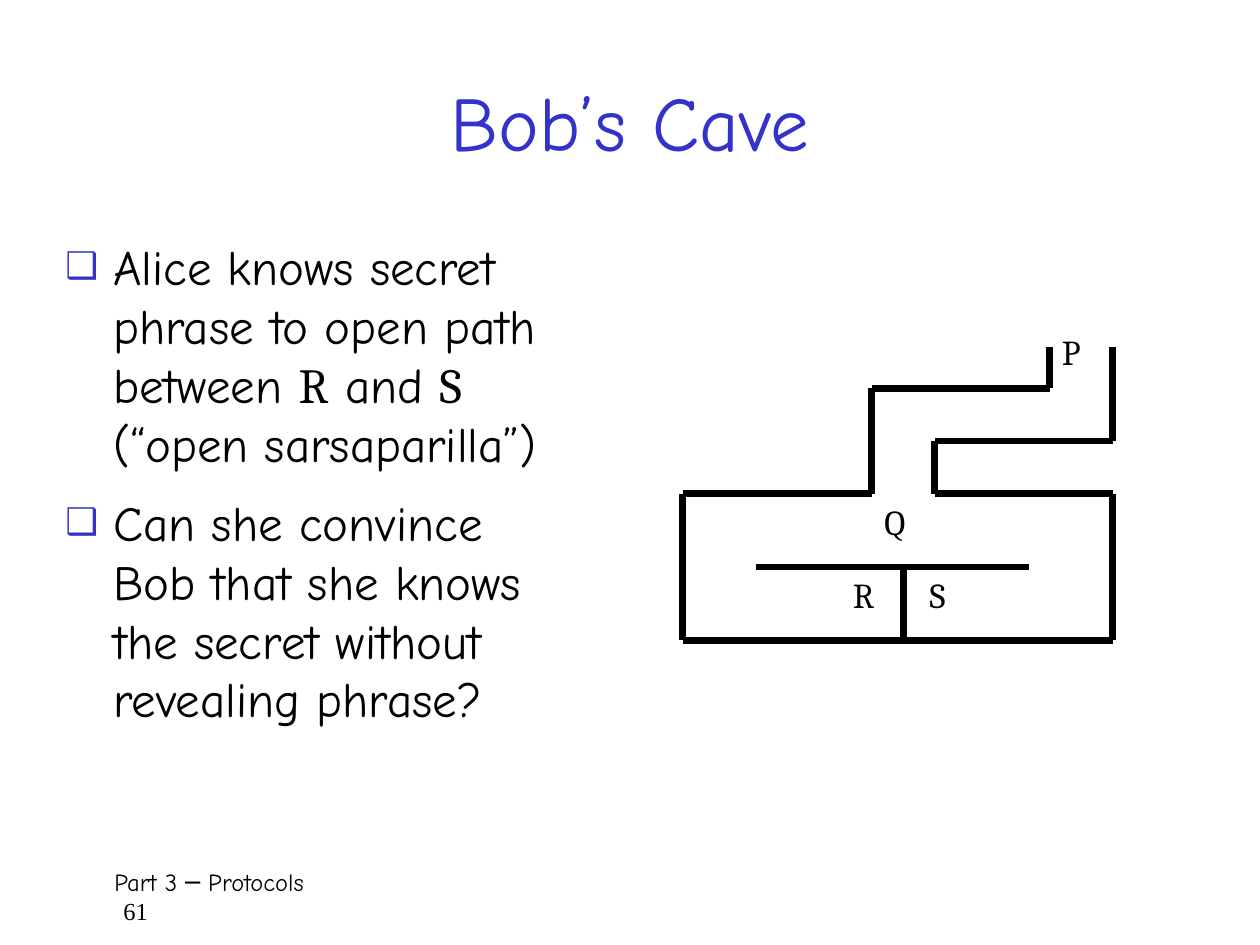
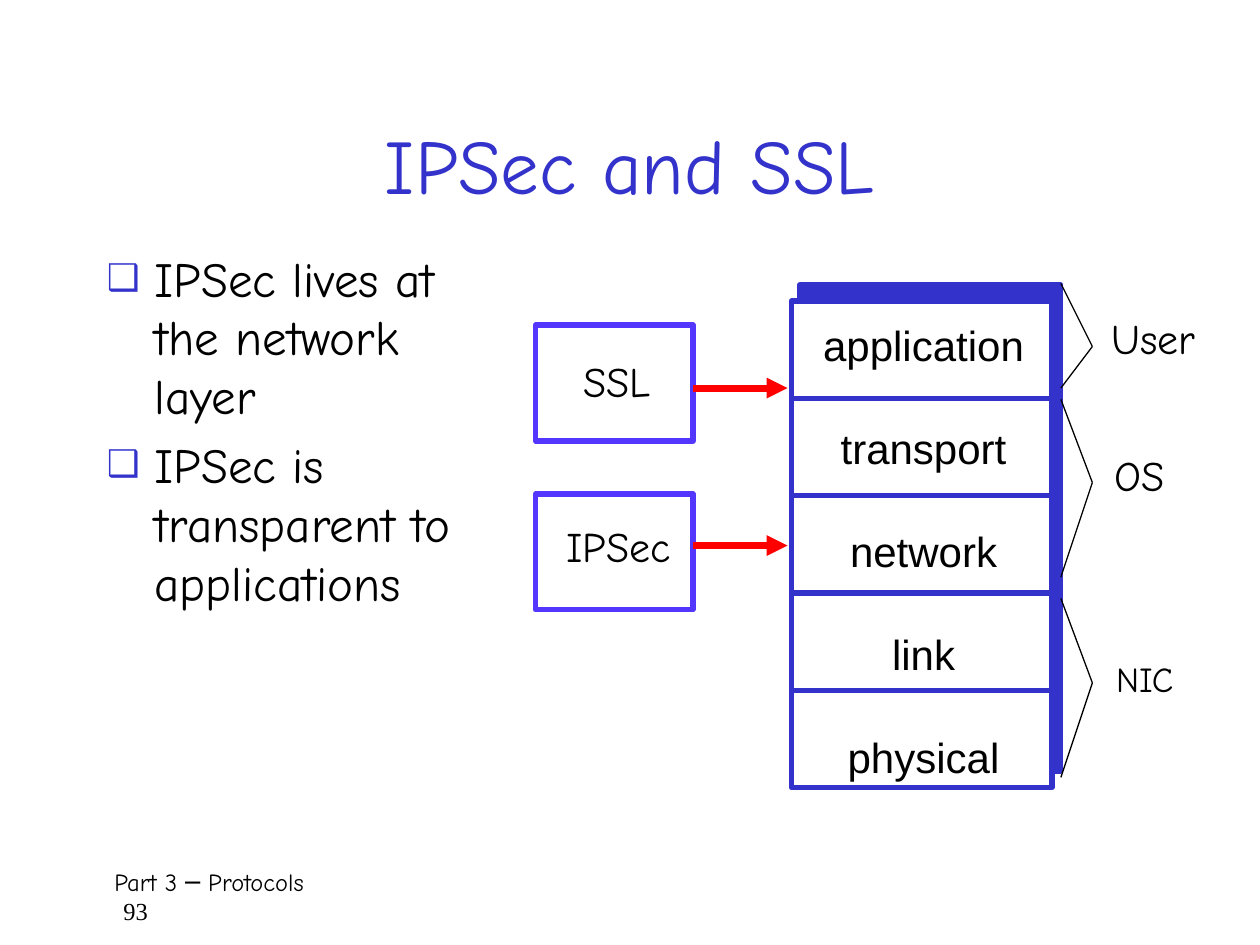
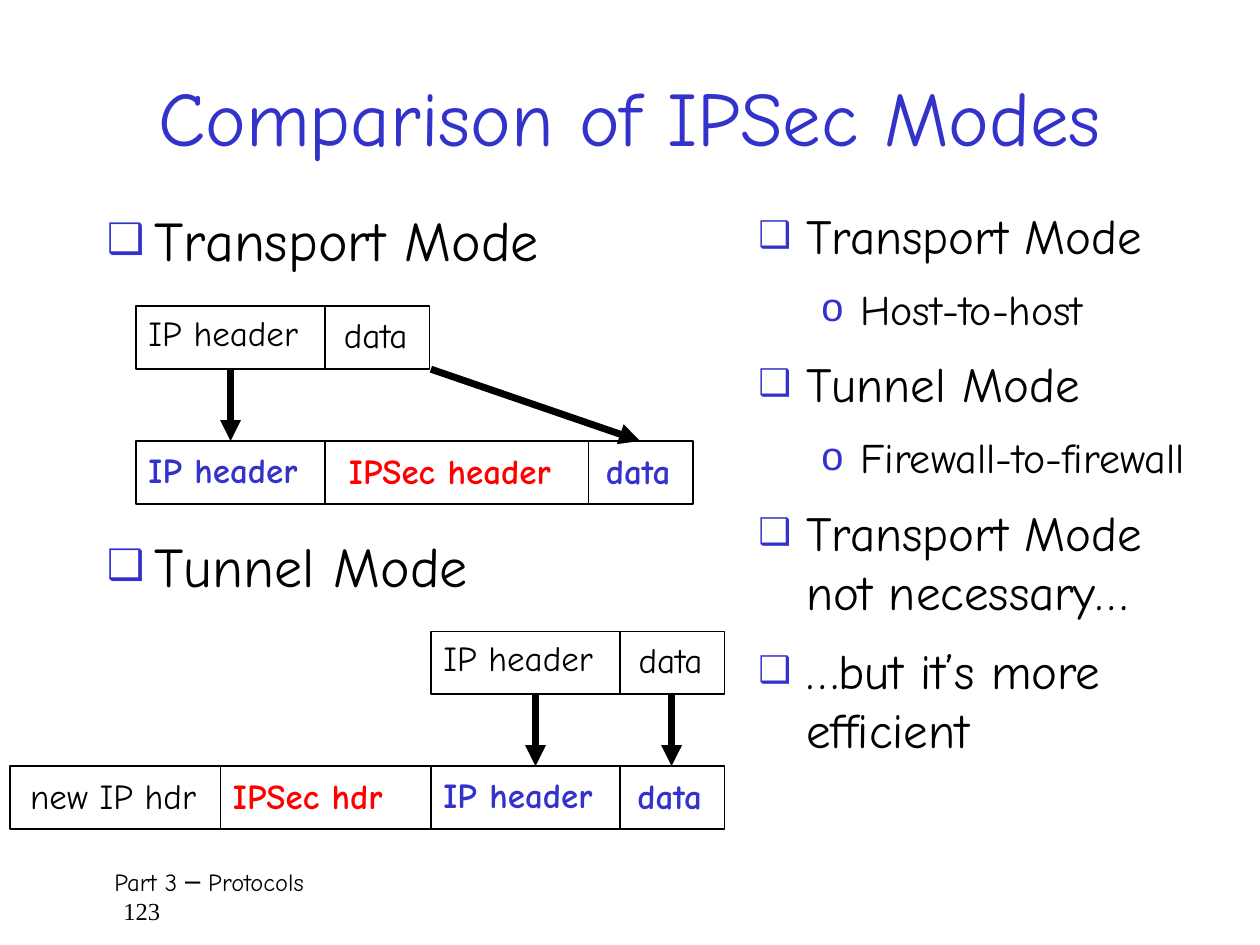
from collections import namedtuple

from lxml import etree
from pptx import Presentation
from pptx.dml.color import RGBColor
from pptx.enum.shapes import MSO_CONNECTOR as LINE, MSO_SHAPE as SHAPE
from pptx.enum.text import MSO_ANCHOR as ANCHOR, MSO_AUTO_SIZE as FIT, PP_ALIGN as ALIGN
from pptx.oxml.ns import qn
from pptx.util import Inches, Pt

COLORS = {"ink": "000000", "blue": "3333CC", "violet": "5437FF", "red": "FF0000", "paper": "FFFFFF"}
COMIC, SERIF, ROMAN, SANS = "Comic Neue", "Cambria", "Times New Roman", "Arial"

BulletLevel = namedtuple("BulletLevel", "indent hang mark percent")
BULLET_LEVELS = [BulletLevel(0.38, 0.38, "❑", 75), BulletLevel(0.81, 0.31, "o", 95)]

Field = namedtuple("Field", "text cell indent drop width height color bold")
IP_HEADER = Field("IP header", 1.5, 0, -0.01, 1.48, 0.49, "ink", False)
DATA = Field("data", 0.83, 0.05, 0.01, 0.78, 0.49, "ink", False)
KEPT_HEADER = Field("IP header", 1.5, 0, 0.01, 1.54, 0.49, "blue", True)
KEPT_DATA = Field("data", 0.83, 0.04, 0.02, 0.8, 0.49, "blue", True)
IPSEC_HEADER = Field("IPSec header", 2.09, 0.09, 0.02, 2.05, 0.44, "red", True)
IPSEC_HDR = Field("IPSec hdr", 1.67, 0, 0.02, 1.59, 0.44, "red", True)
NEW_HDR = Field("new IP hdr", 1.67, 0.06, 0.02, 1.61, 0.49, "ink", False)
ROW_HEIGHT = 0.5


def rgb(name):
    return RGBColor.from_string(COLORS[name])


def add_run(paragraph, text, size, font=COMIC, color="ink", bold=False):
    run = paragraph.add_run()
    run.text = text
    run.font.size = Pt(size)
    run.font.name = font
    run.font.bold = bold
    run.font.color.rgb = rgb(color)


def add_frame(shapes, left, top, width, height, wrap=True):
    box = shapes.add_textbox(Inches(left), Inches(top), Inches(width), Inches(height))
    box.text_frame.word_wrap = wrap
    if not wrap:
        box.text_frame.auto_size = FIT.SHAPE_TO_FIT_TEXT
    return box.text_frame


def add_label(shapes, left, top, width, height, text, size=20, align=ALIGN.LEFT, **style):
    paragraph = add_frame(shapes, left, top, width, height, wrap=False).paragraphs[0]
    paragraph.alignment = align
    add_run(paragraph, text, size, **style)


def add_line(shapes, start, end, color="ink", weight=0.75, arrow=False):
    line = shapes.add_connector(LINE.STRAIGHT, *map(Inches, (*start, *end)))
    line.line.color.rgb = rgb(color)
    line.line.width = Pt(weight)
    properties = line._element.spPr
    if arrow:
        etree.SubElement(properties.find(qn("a:ln")), qn("a:tailEnd"), type="triangle")
    etree.SubElement(properties, qn("a:effectLst"))


def add_polyline(shapes, points, **style):
    for start, end in zip(points, points[1:]):
        add_line(shapes, start, end, **style)


def add_rect(shapes, left, top, width, height, line, weight, fill=None):
    rect = shapes.add_shape(SHAPE.RECTANGLE, *map(Inches, (left, top, width, height)))
    rect.shadow.inherit = False
    rect.line.color.rgb = rgb(line)
    rect.line.width = Pt(weight)
    if fill:
        rect.fill.solid()
        rect.fill.fore_color.rgb = rgb(fill)
    else:
        rect.fill.background()


def set_bullet(paragraph, level):
    style = BULLET_LEVELS[level]
    properties = paragraph._p.get_or_add_pPr()
    properties.set("marL", str(Inches(style.indent)))
    properties.set("indent", str(-Inches(style.hang)))
    color = etree.SubElement(properties, qn("a:buClr"))
    etree.SubElement(color, qn("a:srgbClr"), val=COLORS["blue"])
    etree.SubElement(properties, qn("a:buSzPct"), val=str(style.percent * 1000))
    etree.SubElement(properties, qn("a:buFont"), typeface=SANS)
    etree.SubElement(properties, qn("a:buChar"), char=style.mark)


def point(text, level=0):
    return level, [(text, COMIC)]


def add_bullets(slide, left, top, width, height, points, sizes=(28, 24), after=0):
    """Each point is a level and its (text, font) runs."""
    frame = add_frame(slide.shapes, left, top, width, height)
    for number, (level, runs) in enumerate(points):
        paragraph = frame.add_paragraph() if number else frame.paragraphs[0]
        paragraph.level = level
        paragraph.space_before = Pt(sizes[level] * 0.2)
        paragraph.space_after = Pt(after)
        set_bullet(paragraph, level)
        for text, font in runs:
            add_run(paragraph, text, sizes[level], font)


def add_footer(slide, page):
    frame = add_frame(slide.shapes, 0.75, 6.83, 8.58, 0.5)
    lines = [("Part 3 ─ Protocols", COMIC, 0.06), (str(page), ROMAN, 0.13)]
    for number, (text, font, indent) in enumerate(lines):
        paragraph = frame.add_paragraph() if number else frame.paragraphs[0]
        paragraph._p.get_or_add_pPr().set("marL", str(Inches(indent)))
        add_run(paragraph, text, 14, font)


def add_titled_slide(deck, title, page, top, height):
    slide = deck.slides.add_slide(deck.slide_layouts[6])
    add_footer(slide, page)
    frame = add_frame(slide.shapes, 0.75, top, 8.5, height)
    frame.vertical_anchor = ANCHOR.MIDDLE
    frame.paragraphs[0].alignment = ALIGN.CENTER
    add_run(frame.paragraphs[0], title, 44, color="blue")
    return slide


def draw_cave(slide, left, top):
    outline = [(2.91, 0), (2.91, 0.33), (1.5, 0.33), (1.5, 1.17), (0, 1.17), (0, 2.33),
               (3.41, 2.33), (3.41, 1.17), (2, 1.17), (2, 0.75), (3.41, 0.75), (3.41, 0)]
    door = [(1.75, 2.33), (1.75, 1.75)]
    inner_wall = [(0.58, 1.75), (2.75, 1.75)]
    for wall in (outline, door, inner_wall):
        add_polyline(slide.shapes, [(left + x, top + y) for x, y in wall], weight=4)
    spots = [("P", 2.91, -0.18, 0.39), ("Q", 1.5, 1.17, 0.42),
             ("R", 1.25, 1.75, 0.4), ("S", 1.86, 1.75, 0.39)]
    for name, x, y, width in spots:
        add_label(slide.shapes, left + x, top + y, width, 0.43, name, font=SERIF)


def draw_layer_stack(slide, left, top, width, height, layers):
    add_rect(slide.shapes, left + 0.07, top - 0.13, width, height, "blue", 3, fill="blue")
    stack = slide.shapes.add_group_shape().shapes
    add_rect(stack, left, top, width, height, "blue", 3, fill="paper")
    frame = add_frame(stack, left + 0.15, top + 0.1, 1.8, height - 0.17, wrap=False)
    for number, layer in enumerate(layers):
        paragraph = frame.add_paragraph() if number else frame.paragraphs[0]
        paragraph.alignment = ALIGN.CENTER
        if number:
            paragraph.space_before = Pt(30)
            y = top + number * height / len(layers)
            add_line(stack, (left, y), (left + width, y), "blue", 3)
        add_run(paragraph, layer, 24, SANS)


def draw_protocol(slide, left, top, name, name_box, arrow_drop):
    """Outlined protocol box with an arrow to the layer stack."""
    x, y, width = name_box
    add_rect(slide.shapes, left, top, 1.25, 0.92, "violet", 3)
    add_label(slide.shapes, left + x, top + y, width, 0.57, name, 24, ALIGN.CENTER)
    arrow_y = top + arrow_drop
    add_line(slide.shapes, (left + 1.25, arrow_y), (left + 2, arrow_y), "red", 4, arrow=True)


def draw_bracket(slide, left, top, tip, bottom, owner, label_box, size=24):
    add_polyline(slide.shapes, [(left, top), (left + 0.25, tip), (left, bottom)])
    x, y, width, height = label_box
    add_label(slide.shapes, left + x, top + y, width, height, owner, size)


def draw_packet(slide, left, top, fields):
    shapes = slide.shapes
    add_rect(shapes, left, top, sum(field.cell for field in fields), ROW_HEIGHT, "ink", 0.75)
    x = left
    for field in fields:
        if x > left:
            add_line(shapes, (x, top), (x, top + ROW_HEIGHT))
        add_label(shapes, x + field.indent, top + field.drop, field.width, field.height,
                  field.text, color=field.color, bold=field.bold)
        x += field.cell


def draw_mapping(slide, left, top, drop, arrows):
    for start, end in arrows:
        add_line(slide.shapes, (left + start, top), (left + end, top + drop), weight=4, arrow=True)


def build_cave_slide(deck):
    slide = add_titled_slide(deck, "Bob’s Cave", 61, 0.5, 0.92)
    secret = [("Alice knows secret phrase to open path between ", COMIC), ("R", SERIF),
              (" and ", COMIC), ("S", SERIF), (" (“open sarsaparilla”)", COMIC)]
    question = "Can she convince Bob that she knows the secret without revealing phrase?"
    add_bullets(slide, 0.42, 1.83, 4.25, 4.75, [(0, secret), point(question)], after=6)
    draw_cave(slide, 5.42, 2.75)


def build_layers_slide(deck):
    slide = add_titled_slide(deck, "IPSec and SSL", 93, 0.67, 1.25)
    add_bullets(slide, 0.75, 1.92, 3.25, 4.67, [
        point("IPSec lives at the network layer"),
        point("IPSec is transparent to applications")])
    draw_layer_stack(slide, 6.28, 2.39, 2.07, 3.86,
                     ["application", "transport", "network", "link", "physical"])
    draw_protocol(slide, 4.25, 2.58, "SSL", (0.22, 0.19, 0.85), 0.5)
    draw_protocol(slide, 4.25, 3.92, "IPSec", (0.09, 0.16, 1.14), 0.41)
    draw_bracket(slide, 8.42, 2.25, 2.75, 3.08, "User", (0.3, 0.18, 0.95, 0.57))
    draw_bracket(slide, 8.42, 3.17, 3.83, 4.58, "OS", (0.33, 0.35, 0.7, 0.57))
    draw_bracket(slide, 8.42, 4.75, 5.42, 6.17, "NIC", (0.34, 0.42, 0.74, 0.49), 20)


def build_modes_slide(deck):
    slide = add_titled_slide(deck, "Comparison of IPSec Modes", 123, 0.42, 1)
    add_bullets(slide, 0.75, 1.58, 4.83, 0.83, [point("Transport Mode")], sizes=(32,))
    draw_packet(slide, 1.08, 2.43, [IP_HEADER, DATA])
    draw_packet(slide, 1.08, 3.5, [KEPT_HEADER, IPSEC_HEADER, KEPT_DATA])
    draw_mapping(slide, 1.08, 2.93, 0.57, [(0.75, 0.75), (2.34, 4)])

    add_bullets(slide, 0.75, 4.17, 4.33, 0.83, [point("Tunnel Mode")], sizes=(32,))
    draw_packet(slide, 3.42, 5.01, [IP_HEADER, DATA])
    draw_packet(slide, 0.08, 6.08, [NEW_HDR, IPSEC_HDR, KEPT_HEADER, KEPT_DATA])
    draw_mapping(slide, 3.42, 5.51, 0.57, [(0.83, 0.83), (1.91, 1.91)])

    add_bullets(slide, 5.92, 1.58, 3.75, 5.25, [
        point("Transport Mode"), point("Host-to-host", 1),
        point("Tunnel Mode"), point("Firewall-to-firewall", 1),
        point("Transport Mode not necessary…"),
        point("…but it’s more efficient")], after=6)


def main():
    deck = Presentation()
    deck.slide_width, deck.slide_height = Inches(10), Inches(7.5)
    build_cave_slide(deck)
    build_layers_slide(deck)
    build_modes_slide(deck)
    deck.save("out.pptx")


if __name__ == "__main__":
    main()
